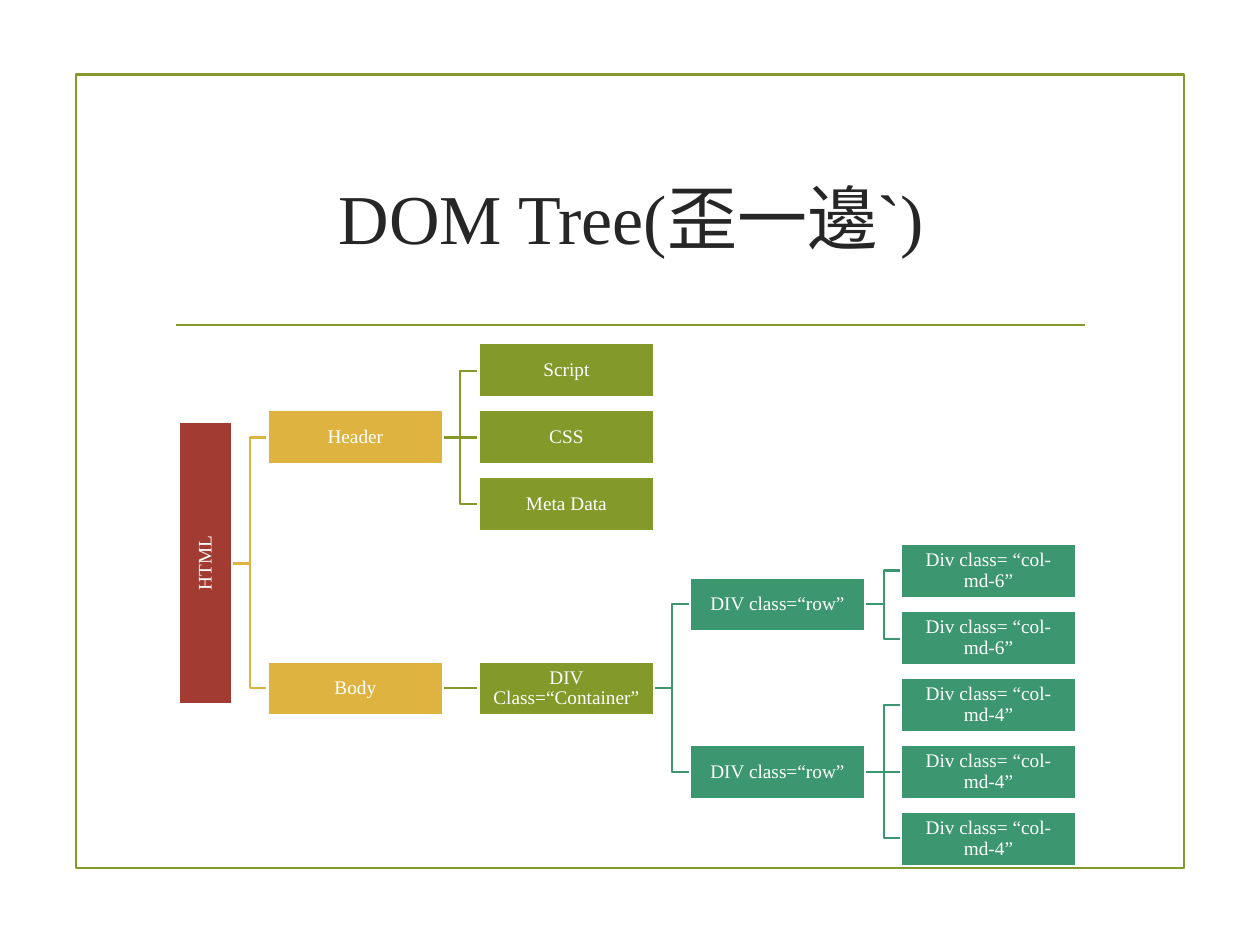
"""Build a slide showing an HTML DOM tree that grows from left to right."""
from lxml import etree
from pptx import Presentation
from pptx import util as u
from pptx.dml.color import RGBColor
from pptx.enum import shapes, text
from pptx.oxml.ns import qn

FONT = "Times New Roman"
WHITE = RGBColor(0xFF, 0xFF, 0xFF)
INK = RGBColor(0x26, 0x26, 0x26)
RED = RGBColor(0xA2, 0x3C, 0x33)
GOLD = RGBColor(0xDE, 0xB3, 0x40)
OLIVE = RGBColor(0x83, 0x99, 0x2A)
GREEN = RGBColor(0x3C, 0x97, 0x70)
LEVEL_COLORS = [RED, GOLD, OLIVE, GREEN, GREEN]

NODE_W, NODE_H, ROOT_LENGTH = 100.4, 30.6, 161.3
ROOT_LEFT, FIRST_LEFT, LEVEL_STEP = 102, 152.9, 120.6
FIRST_MIDDLE, ROW_STEP = 211.5, 38.28

TREE = [
    ("HTML", 0, 2.875, None),
    ("Header", 1, 1, 0),
    ("Script", 2, 0, 1),
    ("CSS", 2, 1, 1),
    ("Meta Data", 2, 2, 1),
    ("Body", 1, 4.75, 0),
    ("DIV Class=“Container”", 2, 4.75, 5),
    ("DIV class=“row”", 3, 3.5, 6),
    ("Div class= “col-md-6”", 4, 3, 7),
    ("Div class= “col-md-6”", 4, 4, 7),
    ("DIV class=“row”", 3, 6, 6),
    ("Div class= “col-md-4”", 4, 5, 10),
    ("Div class= “col-md-4”", 4, 6, 10),
    ("Div class= “col-md-4”", 4, 7, 10),
]


def outline(item, color):
    item.line.color.rgb = color
    item.line.width = u.Pt(1.25)


def node_span(level, row):
    left = FIRST_LEFT + (level - 1) * LEVEL_STEP if level else ROOT_LEFT
    right = left + (NODE_W if level else NODE_H)
    return left, right, FIRST_MIDDLE + row * ROW_STEP


prs = Presentation()
prs.slide_width, prs.slide_height = u.Pt(720), u.Pt(540)
slide = prs.slides.add_slide(prs.slide_layouts[5])

title = slide.shapes.title
title.left, title.top, title.width, title.height = u.Pt(92.9), u.Pt(72), u.Pt(535.7), u.Pt(103)
title.text_frame.text = "DOM Tree(歪一邊`)"
title.text_frame.auto_size = text.MSO_AUTO_SIZE.NONE
title.text_frame.vertical_anchor = text.MSO_ANCHOR.MIDDLE
heading = title.text_frame.paragraphs[0]
heading.alignment = text.PP_ALIGN.CENTER
heading.runs[0].font.size = u.Pt(40)
heading.runs[0].font.name = FONT
heading.runs[0].font.color.rgb = INK

frame = slide.shapes.add_shape(
    shapes.MSO_SHAPE.RECTANGLE, u.Pt(43.6), u.Pt(42.6), u.Pt(633), u.Pt(453.4))
frame.shadow.inherit = False
frame.fill.background()
outline(frame, OLIVE)

rule = slide.shapes.add_connector(
    shapes.MSO_CONNECTOR.STRAIGHT, u.Pt(100.6), u.Pt(185.7), u.Pt(620.2), u.Pt(185.7))
outline(rule, OLIVE)
etree.SubElement(rule._element.spPr, qn("a:effectLst"))

for label, level, row, parent in TREE[1:]:
    child_left, _, child_y = node_span(level, row)
    _, parent_right, parent_y = node_span(*TREE[parent][1:3])
    bend_x = (parent_right + child_left) / 2
    route = [(child_left, child_y)]
    if child_y != parent_y:
        route = [(bend_x, parent_y), (bend_x, child_y)] + route
    builder = slide.shapes.build_freeform(parent_right, parent_y, scale=u.Pt(1))
    builder.add_line_segments(route, close=False)
    branch = builder.convert_to_shape()
    branch.shadow.inherit = False
    branch.fill.background()
    outline(branch, LEVEL_COLORS[level])

for label, level, row, parent in TREE:
    left, right, middle = node_span(level, row)
    width = NODE_W if level else ROOT_LENGTH
    node = slide.shapes.add_shape(
        shapes.MSO_SHAPE.RECTANGLE, u.Pt((left + right - width) / 2),
        u.Pt(middle - NODE_H / 2), u.Pt(width), u.Pt(NODE_H))
    node.rotation = 0 if level else 270
    node.shadow.inherit = False
    node.fill.solid()
    node.fill.fore_color.rgb = LEVEL_COLORS[level]
    outline(node, WHITE)
    words = node.text_frame
    words.text = label
    words.word_wrap = True
    words.vertical_anchor = text.MSO_ANCHOR.MIDDLE
    words.margin_left = words.margin_right = u.Pt(0.7)
    words.margin_top = words.margin_bottom = u.Pt(0.7)
    line = words.paragraphs[0]
    line.alignment = text.PP_ALIGN.CENTER
    line.line_spacing = 0.9
    line.runs[0].font.size = u.Pt(11)
    line.runs[0].font.name = FONT
    line.runs[0].font.color.rgb = WHITE

prs.save("out.pptx")
